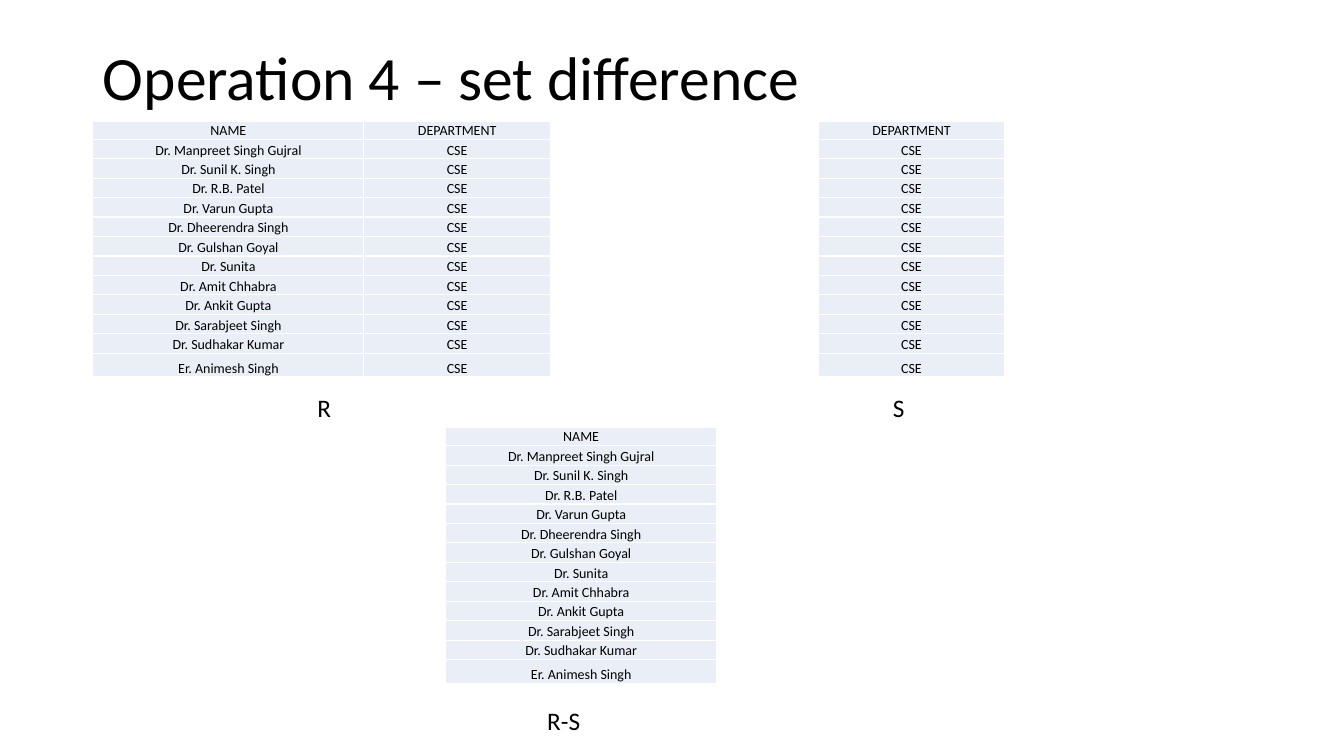
from lxml.etree import SubElement
from pptx import Presentation
from pptx.dml.color import RGBColor as RGB
from pptx.enum.text import MSO_ANCHOR as ANCHOR, PP_ALIGN as ALIGN
from pptx.oxml.ns import qn
from pptx.util import Cm, Pt

COLORS = {"text": "000000", "cell": "EAEFF7", "border": "FFFFFF"}
FONT = "Calibri"
NAMES = [
    "Dr. Manpreet Singh Gujral", "Dr. Sunil K. Singh", "Dr. R.B. Patel",
    "Dr. Varun Gupta", "Dr. Dheerendra Singh", "Dr. Gulshan Goyal",
    "Dr. Sunita", "Dr. Amit Chhabra", "Dr. Ankit Gupta",
    "Dr. Sarabjeet Singh", "Dr. Sudhakar Kumar", "Er. Animesh Singh",
]
NAME_COL = ["NAME"] + NAMES
DEPARTMENT_COL = ["DEPARTMENT"] + ["CSE"] * len(NAMES)
NAME_W, DEPARTMENT_W = 6.83, 4.7
ROW_HEIGHTS = [0.46] + [0.49] * (len(NAMES) - 1) + [0.6]


def format_text(p, size, align):
    """Set the alignment of a paragraph and the font of its runs."""
    p.alignment = align
    for r in p.runs:
        r.font.name = FONT
        r.font.size = Pt(size)
        r.font.color.rgb = RGB.from_string(COLORS["text"])


def set_title(slide, text):
    """Fill and place the title placeholder."""
    s = slide.shapes.title
    s.left, s.top, s.width, s.height = Cm(2.34), Cm(1.02), Cm(25.58), Cm(2.03)
    tf = s.text_frame
    tf.text = text
    tf.vertical_anchor = ANCHOR.MIDDLE
    p = tf.paragraphs[0]
    p.line_spacing = 0.9
    format_text(p, 44, ALIGN.LEFT)


def add_label(slide, text, left, top, width):
    """Add the name of a relation below its table."""
    s = slide.shapes.add_textbox(Cm(left), Cm(top), Cm(width), Cm(1.02))
    tf = s.text_frame
    tf.word_wrap = True
    tf.text = text
    format_text(tf.paragraphs[0], 18, ALIGN.LEFT)


def set_borders(cell):
    """Draw a thin line on all four sides of a cell."""
    tc_pr = cell._tc.get_or_add_tcPr()
    for side in ("a:lnL", "a:lnR", "a:lnT", "a:lnB"):
        ln = SubElement(tc_pr, qn(side), w=str(Pt(1)))
        fill = SubElement(ln, qn("a:solidFill"))
        SubElement(fill, qn("a:srgbClr"), val=COLORS["border"])


def format_cell(cell, text):
    """Write and style one table cell."""
    cell.text = text
    cell.vertical_anchor = ANCHOR.BOTTOM
    cell.margin_left = cell.margin_right = cell.margin_top = Cm(0.02)
    cell.margin_bottom = Cm(0)
    set_borders(cell)
    cell.fill.solid()
    cell.fill.fore_color.rgb = RGB.from_string(COLORS["cell"])
    format_text(cell.text_frame.paragraphs[0], 10, ALIGN.CENTER)


def add_relation(slide, left, top, columns, widths):
    """Add a relation as a table, given its columns of values."""
    frame = slide.shapes.add_table(
        len(ROW_HEIGHTS), len(columns), Cm(left), Cm(top),
        Cm(sum(widths)), Cm(sum(ROW_HEIGHTS)))
    table = frame.table
    table.first_row = table.horz_banding = False
    for row, height in zip(table.rows, ROW_HEIGHTS):
        row.height = Cm(height)
    for j, (values, width) in enumerate(zip(columns, widths)):
        table.columns[j].width = Cm(width)
        for i, value in enumerate(values):
            format_cell(table.cell(i, j), value)


def main():
    """Build the set difference slide."""
    prs = Presentation()
    prs.slide_width, prs.slide_height = Cm(33.87), Cm(19.05)
    slide = prs.slides.add_slide(prs.slide_layouts[5])
    set_title(slide, "Operation 4 – set difference")
    add_relation(slide, 2.34, 3.05, [NAME_COL, DEPARTMENT_COL],
                 [NAME_W, DEPARTMENT_W])
    add_label(slide, "R", 7.75, 9.75, 1)
    add_label(slide, "S", 22.25, 9.75, 1)
    add_label(slide, "R-S", 13.54, 17.65, 4.52)
    add_relation(slide, 20.62, 3.05, [DEPARTMENT_COL], [DEPARTMENT_W])
    add_relation(slide, 11.23, 10.77, [NAME_COL], [NAME_W])
    prs.save("out.pptx")


if __name__ == "__main__":
    main()
